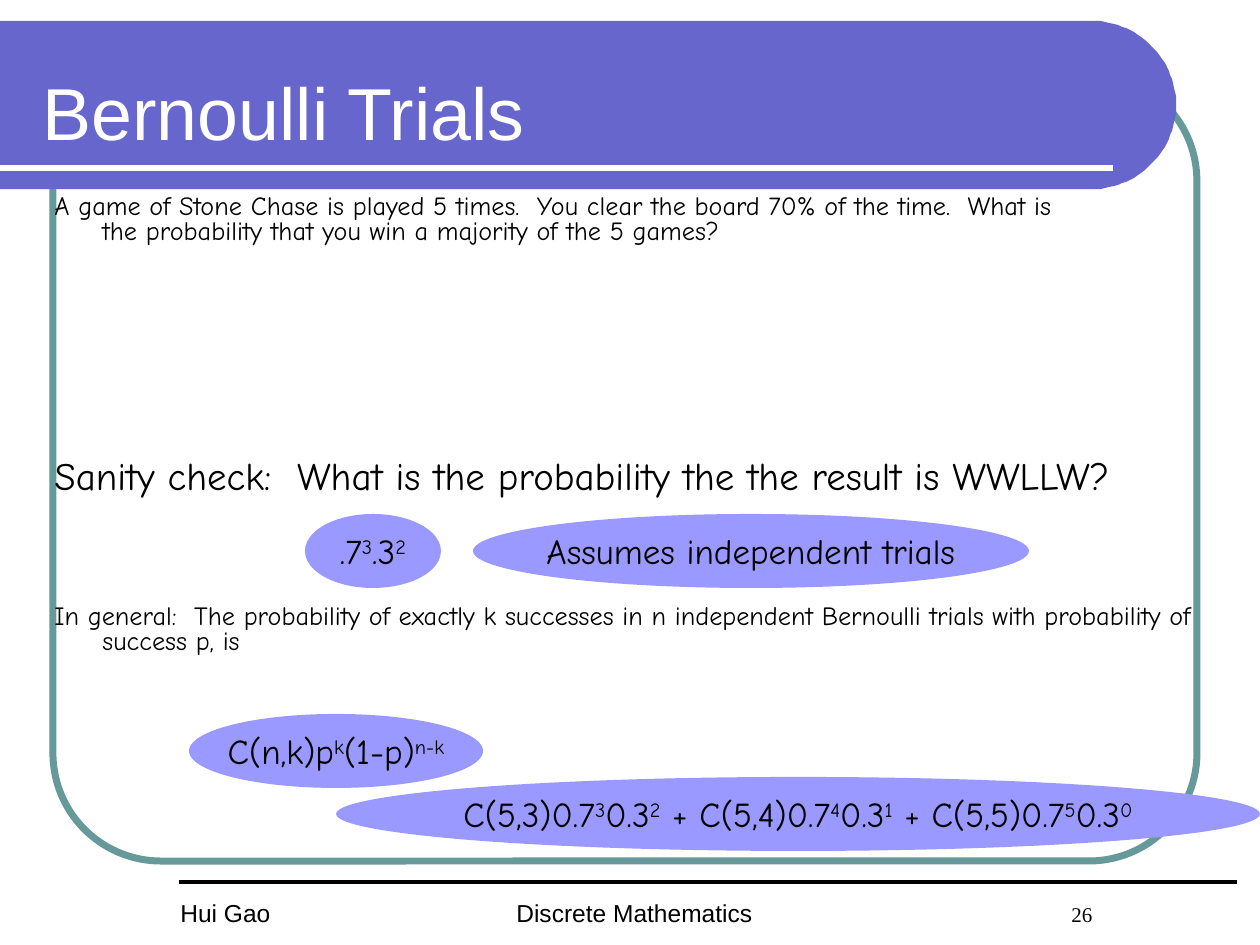
import math
from dataclasses import dataclass

from lxml import etree
from pptx import Presentation
from pptx.dml.color import RGBColor
from pptx.enum.shapes import MSO_CONNECTOR, MSO_SHAPE
from pptx.enum.text import MSO_ANCHOR, MSO_AUTO_SIZE, PP_ALIGN
from pptx.oxml.ns import qn
from pptx.util import Pt

ELLIPSE, ROUNDED = MSO_SHAPE.OVAL, MSO_SHAPE.ROUNDED_RECTANGLE
STRAIGHT = MSO_CONNECTOR.STRAIGHT
LEFT, CENTER = PP_ALIGN.LEFT, PP_ALIGN.CENTER
TOP, MIDDLE = MSO_ANCHOR.TOP, MSO_ANCHOR.MIDDLE
NO_FIT = MSO_AUTO_SIZE.NONE


@dataclass(frozen=True)
class Theme:
    banner: str = "6666CC"
    frame: str = "669999"
    answer: str = "9999FF"
    ink: str = "000000"
    paper: str = "FFFFFF"
    heading_font: str = "Arial"
    body_font: str = "Comic Neue"
    number_font: str = "Times New Roman"
    title_size: float = 42
    check_size: float = 22.2
    answer_size: float = 20
    question_size: float = 15
    footer_size: float = 14
    number_size: float = 12


THEME = Theme()
PX = 914400 / 126

TITLE = "Bernoulli Trials"
QUESTIONS = [
    ("A game of Stone Chase is played 5 times.  You clear the board 70% of the time.  "
     "What is the probability that you win a majority of the 5 games?",
     189, 1040, THEME.question_size, 0.8),
    ("Sanity check:  What is the probability the the result is WWLLW?",
     451, 1166, THEME.check_size, 0.9),
    ("In general:  The probability of exactly k successes in n independent Bernoulli "
     "trials with probability of success p, is",
     599, 1166, THEME.question_size, 0.8),
]
ANSWERS = [
    (["C(n,k)p", "k", "(1-p)", "n-k"], 189, 714, 294),
    ([".7", "3", ".3", "2"], 305, 514, 136),
    (["Assumes independent trials"], 473, 514, 556),
    (["C(5,3)0.7", "3", "0.3", "2", " + C(5,4)0.7", "4", "0.3", "1",
      " + C(5,5)0.7", "5", "0.3", "0"], 336, 777, 924),
]
AUTHOR, COURSE, PAGE = "Hui Gao", "Discrete Mathematics", "26"
QUESTION_LEFT, QUESTION_HEIGHT, HANGING = 42, 84, 48
ANSWER_HEIGHT = 74
FOOTER_TOP, FOOTER_HEIGHT, PAGE_TAB = 892, 42, 555
BANNER_TOP, BANNER_RADIUS, BANNER_CENTER = 21, 84, 1092
RULES = [(0, 1113, 168, THEME.paper, 3), (179, 1237, 882, THEME.ink, 2.25)]


def px(*lengths):
    return [round(length * PX) for length in lengths]


def rgb(value):
    return RGBColor.from_string(value)


def add_run(paragraph, text, size, font, color=THEME.ink, raised=False):
    run = paragraph.add_run()
    run.text = text
    run.font.size = Pt(size)
    run.font.name = font
    run.font.color.rgb = rgb(color)
    if raised:
        run.font._element.set("baseline", "30000")


def add_text_box(slide, left, top, width, height):
    frame = slide.shapes.add_textbox(*px(left, top, width, height)).text_frame
    frame.word_wrap = True
    frame.vertical_anchor = TOP
    return frame.paragraphs[0]


def paint(shape, color):
    shape.shadow.inherit = False
    shape.fill.solid()
    shape.fill.fore_color.rgb = rgb(color)
    shape.line.fill.background()


def add_rule(slide, start, end, y, color, weight):
    rule = slide.shapes.add_connector(STRAIGHT, *px(start, y, end, y))
    rule.line.color.rgb = rgb(color)
    rule.line.width = Pt(weight)
    etree.SubElement(rule._element.spPr, qn("a:effectLst"))


def add_backdrop(slide):
    border = slide.shapes.add_shape(ROUNDED, *px(53, 73, 1144, 788))
    border.adjustments[0] = 0.137
    border.shadow.inherit = False
    border.fill.background()
    border.line.color.rgb = rgb(THEME.frame)
    border.line.width = Pt(4)

    middle = BANNER_TOP + BANNER_RADIUS
    angles = [math.radians(degree) for degree in range(-90, 91, 3)]
    arc = [(BANNER_CENTER + BANNER_RADIUS * math.cos(angle),
            middle + BANNER_RADIUS * math.sin(angle)) for angle in angles]
    outline = slide.shapes.build_freeform(0, BANNER_TOP, scale=PX)
    outline.add_line_segments(arc + [(0, middle + BANNER_RADIUS)], close=True)
    paint(outline.convert_to_shape(), THEME.banner)

    for rule in RULES:
        add_rule(slide, *rule)


def add_title(slide):
    title = slide.shapes.title
    title.left, title.top, title.width, title.height = px(30, 32, 1167, 158)
    frame = title.text_frame
    frame.auto_size = NO_FIT
    frame.vertical_anchor = MIDDLE
    heading = frame.paragraphs[0]
    heading.alignment = LEFT
    add_run(heading, TITLE, THEME.title_size, THEME.heading_font, THEME.paper)
    slide.shapes._spTree.append(title._element)


def add_footer(slide):
    author = add_text_box(slide, 168, FOOTER_TOP, 242, FOOTER_HEIGHT)
    add_run(author, AUTHOR, THEME.footer_size, THEME.heading_font)

    course = add_text_box(slide, 504, FOOTER_TOP, 746, FOOTER_HEIGHT)
    tabs = etree.SubElement(course._p.get_or_add_pPr(), qn("a:tabLst"))
    etree.SubElement(tabs, qn("a:tab"), pos=str(px(PAGE_TAB)[0]), algn="l")
    add_run(course, COURSE + "\t", THEME.footer_size, THEME.heading_font)
    add_run(course, PAGE, THEME.number_size, THEME.number_font)


def add_question(slide, text, top, width, size, spacing):
    question = add_text_box(slide, QUESTION_LEFT, top, width, QUESTION_HEIGHT)
    question.line_spacing = spacing
    hanging = px(HANGING)[0]
    properties = question._p.get_or_add_pPr()
    properties.set("marL", str(hanging))
    properties.set("indent", str(-hanging))
    add_run(question, text, size, THEME.body_font)


def add_answer(slide, parts, left, top, width):
    bubble = slide.shapes.add_shape(ELLIPSE, *px(left, top, width, ANSWER_HEIGHT))
    paint(bubble, THEME.answer)
    frame = bubble.text_frame
    frame.word_wrap = False
    frame.vertical_anchor = MIDDLE
    formula = frame.paragraphs[0]
    formula.alignment = CENTER
    for index, part in enumerate(parts):
        add_run(formula, part, THEME.answer_size, THEME.body_font, raised=index % 2 == 1)


def main():
    deck = Presentation()
    deck.slide_width, deck.slide_height = px(1260, 945)
    slide = deck.slides.add_slide(deck.slide_layouts[5])
    add_backdrop(slide)
    add_footer(slide)
    add_title(slide)
    for question in QUESTIONS:
        add_question(slide, *question)
    for answer in ANSWERS:
        add_answer(slide, *answer)
    deck.save("out.pptx")


if __name__ == "__main__":
    main()
